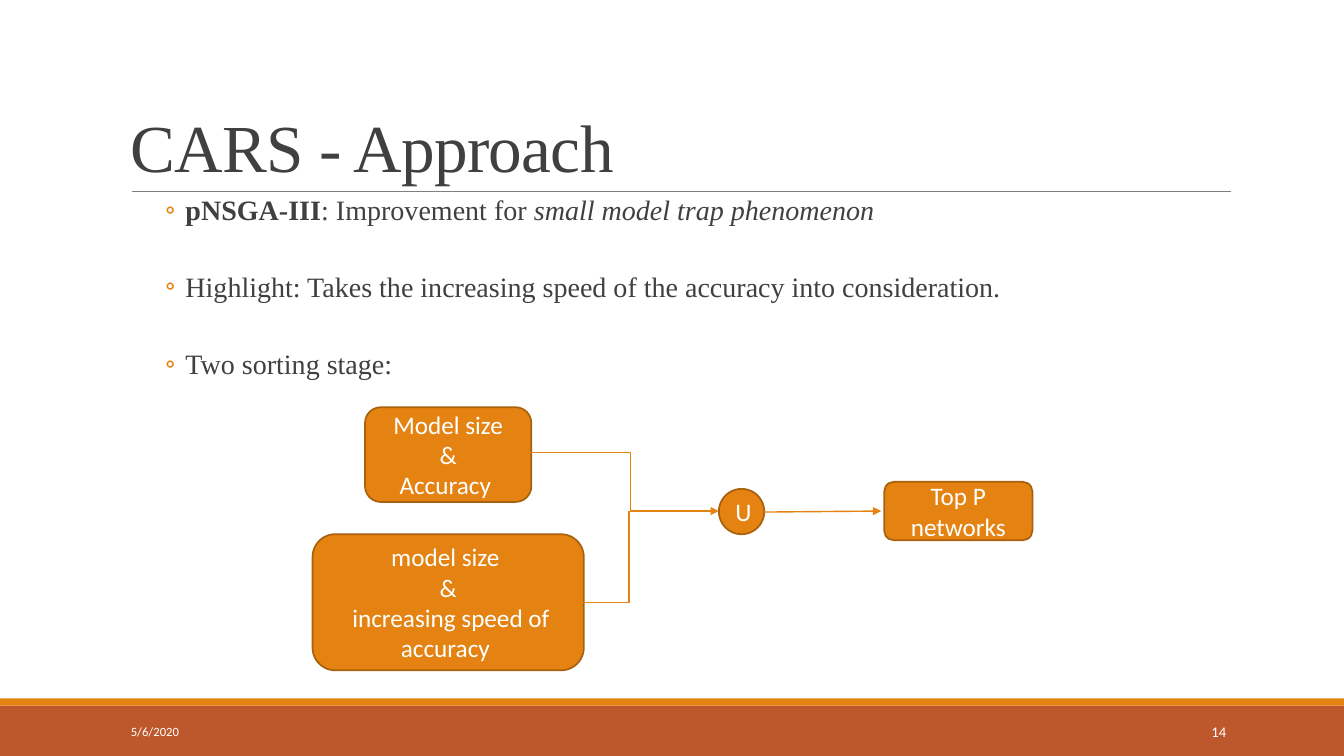
from dataclasses import dataclass

from lxml.etree import SubElement as Sub
from pptx import Presentation
from pptx.dml.color import RGBColor as Rgb
from pptx.enum.shapes import MSO_CONNECTOR as Link, MSO_SHAPE as Geo
from pptx.enum.text import MSO_ANCHOR as Anchor, PP_ALIGN as Align
from pptx.oxml.ns import qn
from pptx.util import Inches, Pt


@dataclass(frozen=True)
class Theme:
    """Colours, fonts and type sizes of the slide."""
    orange: str = "E48312"
    rust: str = "BD582C"
    edge: str = "A9610D"
    rule: str = "808080"
    ink: str = "404040"
    white: str = "FFFFFF"
    serif: str = "Times New Roman"
    sans: str = "Calibri"
    head: float = 48
    body: float = 20
    node: float = 18
    page: float = 10.5
    date: float = 9


T = Theme()


def add_run(para, text, size, font, ink, bold=False, ital=False):
    """Add one styled run to a paragraph."""
    run = para.add_run()
    run.text = text
    face = run.font
    face.size, face.name = Pt(size), font
    face.bold, face.italic = bold, ital
    face.color.rgb = Rgb.from_string(ink)
    return run


def add_text(slide, box, anchor):
    """Add a wrapping text box and return its frame."""
    frame = slide.shapes.add_textbox(*map(Inches, box)).text_frame
    frame.word_wrap = True
    frame.vertical_anchor = anchor
    return frame


def add_block(slide, geo, box, fill, edge=None):
    """Add a flat filled shape, with an outline if one is given."""
    shape = slide.shapes.add_shape(geo, *map(Inches, box))
    shape.shadow.inherit = False
    shape.fill.solid()
    shape.fill.fore_color.rgb = Rgb.from_string(fill)
    if edge:
        shape.line.color.rgb = Rgb.from_string(edge)
        shape.line.width = Pt(1.25)
    else:
        shape.line.fill.background()
    return shape


def add_line(slide, start, end, ink, width, arrow=False, bend=None):
    """Join two points, with an elbow at the bend share of the width."""
    kind = Link.STRAIGHT if bend is None else Link.ELBOW
    line = slide.shapes.add_connector(kind, *map(Inches, start + end))
    line.line.color.rgb = Rgb.from_string(ink)
    line.line.width = Pt(width)
    props = line._element.spPr
    if arrow:
        Sub(props.find(qn("a:ln")), qn("a:tailEnd"), type="triangle")
    if bend is not None:
        guides = props.find(qn("a:prstGeom")).find(qn("a:avLst"))
        Sub(guides, qn("a:gd"), name="adj1", fmla=f"val {round(bend * 100000)}")
    Sub(props, qn("a:effectLst"))


def add_node(slide, geo, box, lines):
    """Add a diagram node with one centred paragraph per line."""
    frame = add_block(slide, geo, box, T.orange, T.edge).text_frame
    frame.word_wrap = True
    frame.vertical_anchor = Anchor.MIDDLE
    for num, text in enumerate(lines):
        para = frame.add_paragraph() if num else frame.paragraphs[0]
        para.alignment = Align.CENTER
        add_run(para, text, T.node, T.sans, T.white)


def add_head(slide, box):
    """Add the title and the rule under it."""
    left, top, width, height = box
    para = add_text(slide, box, Anchor.BOTTOM).paragraphs[0]
    para.line_spacing = 0.85
    run = add_run(para, "CARS - Approach", T.head, T.serif, T.ink)
    run.font._element.set("spc", "-50")
    base = top + height
    add_line(slide, (left + 0.11, base), (left + 11.01, base), T.rule, 0.5)


def add_list(slide, box):
    """Add the bulleted points."""
    points = [
        (2, [("pNSGA-III", True, False), (": Improvement for ", False, False),
             ("small model trap phenomenon", False, True)]),
        (29, [("Highlight: Takes the increasing speed of the accuracy "
               "into consideration.", False, False)]),
        (30, [("Two sorting stage:", False, False)]),
    ]
    frame = add_text(slide, box, Anchor.TOP)
    frame.margin_left = frame.margin_right = 0
    for num, (gap, runs) in enumerate(points):
        para = frame.add_paragraph() if num else frame.paragraphs[0]
        para.line_spacing = 0.9
        para.space_before, para.space_after = Pt(gap), Pt(4)
        props = para._p.get_or_add_pPr()
        props.set("marL", str(Inches(0.82)))
        props.set("indent", str(Inches(-0.2)))
        Sub(Sub(props, qn("a:buClr")), qn("a:srgbClr"), val=T.orange)
        Sub(props, qn("a:buFont"), typeface=T.sans)
        Sub(props, qn("a:buChar"), char="◦")
        for text, bold, ital in runs:
            add_run(para, text, T.body, T.serif, T.ink, bold, ital)


def add_flow(slide, box):
    """Add the two sorting stages, their union and the result."""
    left, top, _, _ = box

    def spot(x, y):
        """Turn an offset in the box into a slide point."""
        return left + x, top + y

    nodes = [
        (Geo.ROUNDED_RECTANGLE, (0.52, 0), (1.65, 0.94),
         ["Model size", "&", "Accuracy "]),
        (Geo.ROUNDED_RECTANGLE, (0, 1.26), (2.69, 1.35),
         ["model size ", "&", " increasing speed of accuracy "]),
        (Geo.OVAL, (4.03, 0.81), (0.45, 0.45), ["U"]),
        (Geo.ROUNDED_RECTANGLE, (5.67, 0.74), (1.47, 0.58),
         ["Top P networks"]),
    ]
    links = [
        ((2.16, 0.45), (4.03, 1.03), True, 0.53),
        ((2.68, 1.94), (3.14, 1.03), False, 1),
        ((4.48, 1.04), (5.64, 1.03), True, None),
    ]
    for geo, place, size, lines in nodes:
        add_node(slide, geo, spot(*place) + size, lines)
    for start, end, arrow, bend in links:
        add_line(slide, spot(*start), spot(*end), T.orange, 1, arrow, bend)


def add_foot(slide, box):
    """Add the footer bands, the date and the page number."""
    left, top, width, height = box
    band = 0.07
    add_block(slide, Geo.RECTANGLE,
              (left, top + band, width, height - band), T.rust)
    add_block(slide, Geo.RECTANGLE, (left, top, width, band), T.orange)
    marks = [("5/6/2020", 1.2, 2.7, T.date, Align.LEFT),
             ("14", 10.83, 1.43, T.page, Align.RIGHT)]
    for text, x, wide, size, align in marks:
        place = (left + x, top + 0.13, wide, 0.4)
        para = add_text(slide, place, Anchor.MIDDLE).paragraphs[0]
        para.alignment = align
        add_run(para, text, size, T.sans, T.white)


def main():
    """Build and save the slide."""
    deck = Presentation()
    deck.slide_width, deck.slide_height = Inches(13.33), Inches(7.5)
    slide = deck.slides.add_slide(deck.slide_layouts[6])
    add_foot(slide, (0, 6.93, 13.33, 0.57))
    add_head(slide, (1.2, 0.31, 11, 1.59))
    add_list(slide, (1.02, 1.9, 12.04, 4.78))
    add_flow(slide, (3.1, 4.04, 7.14, 2.61))
    deck.save("out.pptx")


if __name__ == "__main__":
    main()
